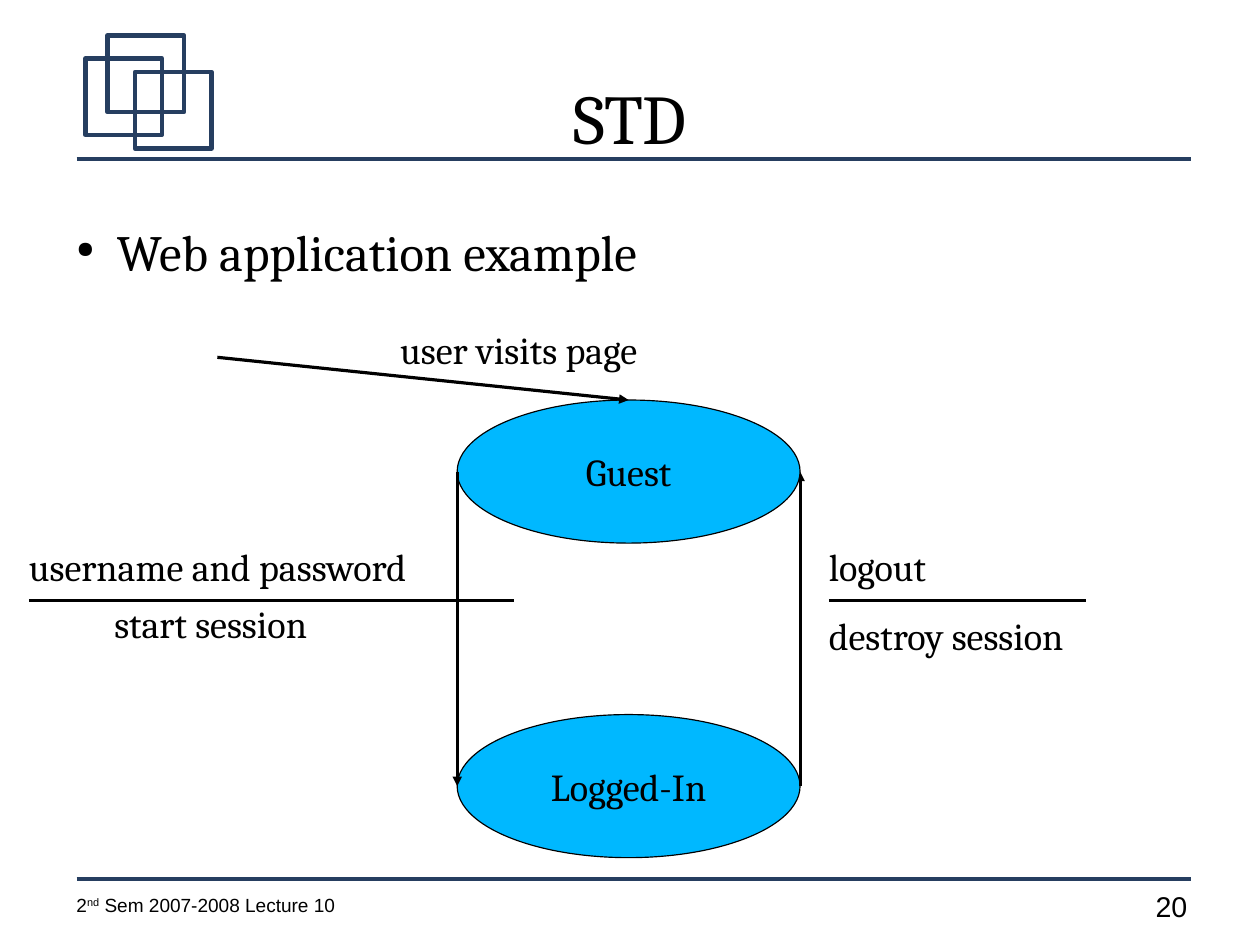
"""Build the state transition diagram slide for a web application."""
from pptx import Presentation
from pptx.dml.color import RGBColor
from pptx.enum.shapes import MSO_CONNECTOR as Link, MSO_SHAPE as Shape
from pptx.enum.text import MSO_ANCHOR as Anchor, PP_ALIGN as Align
from pptx.oxml.ns import qn
from pptx.util import Cm, Pt
from lxml.etree import SubElement

COLORS = {"rule": "263E60", "state": "00B8FF", "ink": "000000"}
SERIF, SANS = "Cambria", "Arial"

TITLE = "STD"
BULLET = "Web application example"
FOOTER = [("2", False), ("nd", True), (" Sem 2007-2008 Lecture 10", False)]
PAGE_NUMBER = "20"

STATE_LEFT, STATE_WIDTH, STATE_HEIGHT = 10.16, 7.62, 3.18
STATE_RIGHT = STATE_LEFT + STATE_WIDTH
STATE_TOPS = {"Guest": 8.89, "Logged-In": 15.88}
MIDDLES = {name: top + STATE_HEIGHT / 2 for name, top in STATE_TOPS.items()}

LABELS = [
    ("user visits page", 8.89, 7.26, 8.26),
    ("logout", 18.42, 12.07, 6.99),
    ("destroy session", 18.42, 13.61, 6.99),
    ("username and password", 0.64, 12.07, 12.07),
    ("start session", 2.54, 13.34, 10.16),
]
DIVIDER_TOP = 13.34
DIVIDERS = [(0.64, 11.43), (18.42, 24.13)]

RULE_LEFT, RULE_RIGHT, RULE_TOPS = 1.7, 26.47, (19.53, 3.53)
SQUARE_SIZE = 1.7
SQUARES = [(1.9, 1.3), (2.39, 0.79), (3, 1.6)]


def color(name):
    return RGBColor.from_string(COLORS[name])


def add_span(para, text, size, font=SERIF, raised=False):
    span = para.add_run()
    span.text = text
    span.font.size = Pt(size)
    span.font.name = font
    span.font.color.rgb = color("ink")
    if raised:
        span._r.get_or_add_rPr().set("baseline", "33000")


def clear_margins(frame, anchor=Anchor.TOP):
    frame.margin_left = frame.margin_right = 0
    frame.margin_top = frame.margin_bottom = 0
    frame.vertical_anchor = anchor
    frame.word_wrap = True
    return frame.paragraphs[0]


def add_label(page, left, top, width, height):
    box = page.shapes.add_textbox(Cm(left), Cm(top), Cm(width), Cm(height))
    return clear_margins(box.text_frame)


def add_line(page, start, end, ink="ink", width=0, arrow=False):
    line = page.shapes.add_connector(Link.STRAIGHT, *map(Cm, start + end))
    line.line.color.rgb = color(ink)
    line.line.width = Pt(width)
    if arrow:
        SubElement(line.line._get_or_add_ln(), qn("a:tailEnd"), type="triangle")
    SubElement(line._element.spPr, qn("a:effectLst"))


def add_outline(page, kind, left, top, width, height, ink, line_width):
    shape = page.shapes.add_shape(kind, Cm(left), Cm(top), Cm(width), Cm(height))
    shape.shadow.inherit = False
    shape.fill.background()
    shape.line.color.rgb = color(ink)
    shape.line.width = Pt(line_width)
    return shape


def add_state(page, name):
    state = add_outline(page, Shape.OVAL, STATE_LEFT, STATE_TOPS[name],
                        STATE_WIDTH, STATE_HEIGHT, "ink", 0)
    state.fill.solid()
    state.fill.fore_color.rgb = color("state")
    para = clear_margins(state.text_frame, Anchor.MIDDLE)
    para.alignment = Align.CENTER
    add_span(para, name, 24)


def add_frame(page):
    for top in RULE_TOPS:
        add_line(page, (RULE_LEFT, top), (RULE_RIGHT, top), "rule", 2.83)
    footer = add_label(page, RULE_LEFT, 19.86, 7.16, 0.69)
    for text, raised in FOOTER:
        add_span(footer, text, 12, SANS, raised)
    add_span(add_label(page, 25.68, 19.76, 1.02, 0.94), PAGE_NUMBER, 18, SANS)
    for left, top in SQUARES:
        add_outline(page, Shape.RECTANGLE, left, top, SQUARE_SIZE, SQUARE_SIZE, "rule", 2.83)


def add_title(page):
    title = page.shapes.title
    title.left, title.top, title.width, title.height = map(Cm, (1.4, 0.84, 25.2, 3.5))
    para = clear_margins(title.text_frame, Anchor.MIDDLE)
    para.alignment = Align.CENTER
    add_span(para, TITLE, 44)


def add_bullet(page):
    para = add_label(page, 1.4, 4.9, 25.2, 1.4)
    props = para._p.get_or_add_pPr()
    props.set("marL", str(Cm(1.2)))
    props.set("indent", str(Cm(-0.9)))
    SubElement(props, qn("a:buSzPct"), val="45000")
    SubElement(props, qn("a:buChar"), char="●")
    add_span(para, BULLET, 32)


def main():
    deck = Presentation()
    deck.slide_width, deck.slide_height = Cm(28), Cm(21)
    page = deck.slides.add_slide(deck.slide_layouts[5])
    add_frame(page)
    add_title(page)
    add_state(page, "Logged-In")
    add_line(page, (STATE_RIGHT, MIDDLES["Logged-In"]),
             (STATE_RIGHT, MIDDLES["Guest"]), arrow=True)
    add_state(page, "Guest")
    add_bullet(page)
    add_line(page, (4.83, 7.94), (STATE_LEFT + STATE_WIDTH / 2, STATE_TOPS["Guest"]),
             arrow=True)
    for left, right in DIVIDERS:
        add_line(page, (left, DIVIDER_TOP), (right, DIVIDER_TOP))
    for text, left, top, width in LABELS:
        add_span(add_label(page, left, top, width, 1), text, 24)
    add_line(page, (STATE_LEFT, MIDDLES["Guest"]),
             (STATE_LEFT, MIDDLES["Logged-In"]), arrow=True)
    deck.save("out.pptx")


if __name__ == "__main__":
    main()
